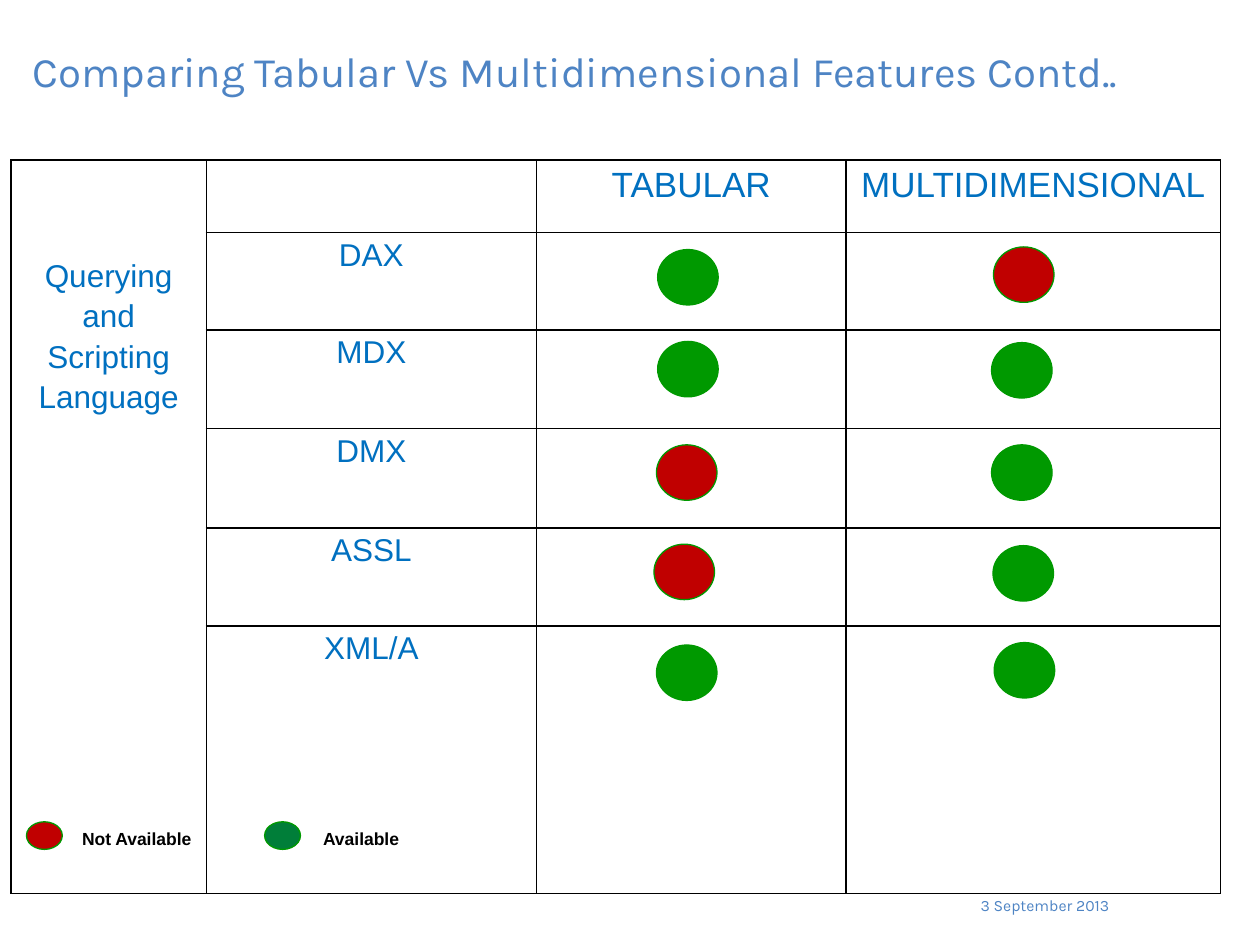
import pptx
import pptx.util
import pptx.dml.color
import pptx.enum.shapes
import pptx.enum.text
import pptx.oxml
import pptx.oxml.ns

Pt = pptx.util.Pt
ALIGN = pptx.enum.text.PP_ALIGN

COLORS = {"title": "4E84C4", "table": "0070C0", "ink": "000000", "edge": "009900",
          "yes": "009900", "no": "C00000", "key": "007E39"}

TITLE = "Comparing Tabular Vs Multidimensional Features Contd.."
DATE = "3 September 2013"
TOPIC = "Querying and Scripting Language"
HEADS = ["TABULAR", "MULTIDIMENSIONAL"]
# language, then for each model: mark colour, left, top
ROWS = [
    ("DAX", ("yes", 375.8, 142.6), ("no", 567.7, 141.1)),
    ("MDX", ("yes", 375.8, 195.1), ("yes", 566.6, 195.8)),
    ("DMX", ("no", 375.1, 254.2), ("yes", 566.6, 254.2)),
    ("ASSL", ("no", 373.7, 311), ("yes", 567.4, 311.8)),
    ("XML/A", ("yes", 375.1, 368.6), ("yes", 568.1, 367.2)),
]
# label, label left, mark colour, mark left
LEGEND = [("Not Available", 15.1, "no", 15.1), ("Available", 143.3, "key", 151.2)]

WIDTHS = [111.6, 188.6, 177.1, 213.8]
HEIGHTS = [41.5, 55.7, 56.3, 56.9, 56, 146.3]
LEFT, TOP = 6.3, 91.4
MARK = (34.6, 31.7)
KEY = (20.5, 15.8)
KEY_TOP = 469.6


def rgb(name):
    return pptx.dml.color.RGBColor.from_string(COLORS[name])


def write(frame, text, size=18, color="table", font="Arial", bold=False,
          align=ALIGN.CENTER, space=1.0):
    frame.word_wrap = True
    para = frame.paragraphs[0]
    para.alignment = align
    para.line_spacing = space
    run = para.add_run()
    run.text = text
    run.font.size = Pt(size)
    run.font.name = font
    run.font.bold = bold
    run.font.color.rgb = rgb(color)


def label(slide, box, text, **style):
    frame = slide.shapes.add_textbox(*map(Pt, box)).text_frame
    write(frame, text, **style)


def dot(slide, left, top, size, color):
    shape = slide.shapes.add_shape(
        pptx.enum.shapes.MSO_SHAPE.OVAL, *map(Pt, (left, top, *size)))
    shape.shadow.inherit = False
    shape.fill.solid()
    shape.fill.fore_color.rgb = rgb(color)
    shape.line.color.rgb = rgb("edge")
    shape.line.width = Pt(0.75)


def frame_cell(cell):
    """Clear the fill and margins of a cell and rule all its sides."""
    cell.margin_left = cell.margin_right = Pt(5.8)
    cell.margin_top = cell.margin_bottom = 0
    props = cell._tc.get_or_add_tcPr()
    for side in ("lnL", "lnR", "lnT", "lnB"):
        props.append(pptx.oxml.parse_xml(
            f'<a:{side} {pptx.oxml.ns.nsdecls("a")} w="{Pt(1)}"><a:solidFill>'
            f'<a:srgbClr val="{COLORS["ink"]}"/></a:solidFill></a:{side}>'))
    cell.fill.background()


def add_grid(slide):
    shape = slide.shapes.add_table(
        len(HEIGHTS), len(WIDTHS), Pt(LEFT), Pt(TOP), Pt(sum(WIDTHS)), Pt(sum(HEIGHTS)))
    grid = shape.table
    grid.first_row = grid.horz_banding = False
    for col, width in zip(grid.columns, WIDTHS):
        col.width = Pt(width)
    for row, height in zip(grid.rows, HEIGHTS):
        row.height = Pt(height)
    for cell in grid.iter_cells():
        frame_cell(cell)
    topic = grid.cell(0, 0)
    topic.merge(grid.cell(len(ROWS), 0))
    topic.margin_top = Pt(53.4)
    write(topic.text_frame, TOPIC, space=1.15)
    for col, head in enumerate(HEADS, 2):
        write(grid.cell(0, col).text_frame, head, size=20, space=1.15)
    for row, (name, *_) in enumerate(ROWS, 1):
        write(grid.cell(row, 1).text_frame, name, space=1.15)


def main():
    deck = pptx.Presentation()
    deck.slide_width, deck.slide_height = Pt(720), Pt(540)
    slide = deck.slides.add_slide(deck.slide_layouts[6])
    label(slide, (11.5, 22.3, 692.6, 46.8), TITLE, size=24, color="title",
          font="Karla", align=ALIGN.LEFT)
    label(slide, (529.2, 508.3, 111.6, 25.2), DATE, size=9, color="title",
          font="Karla", align=ALIGN.RIGHT)
    add_grid(slide)
    for _, *marks in ROWS:
        for color, left, top in marks:
            dot(slide, left, top, MARK, color)
    for text, left, color, spot in LEGEND:
        dot(slide, spot, KEY_TOP, KEY, color)
        label(slide, (left, KEY_TOP, 126, 19.4), text, size=10, color="ink", bold=True)
    deck.save("out.pptx")


if __name__ == "__main__":
    main()
